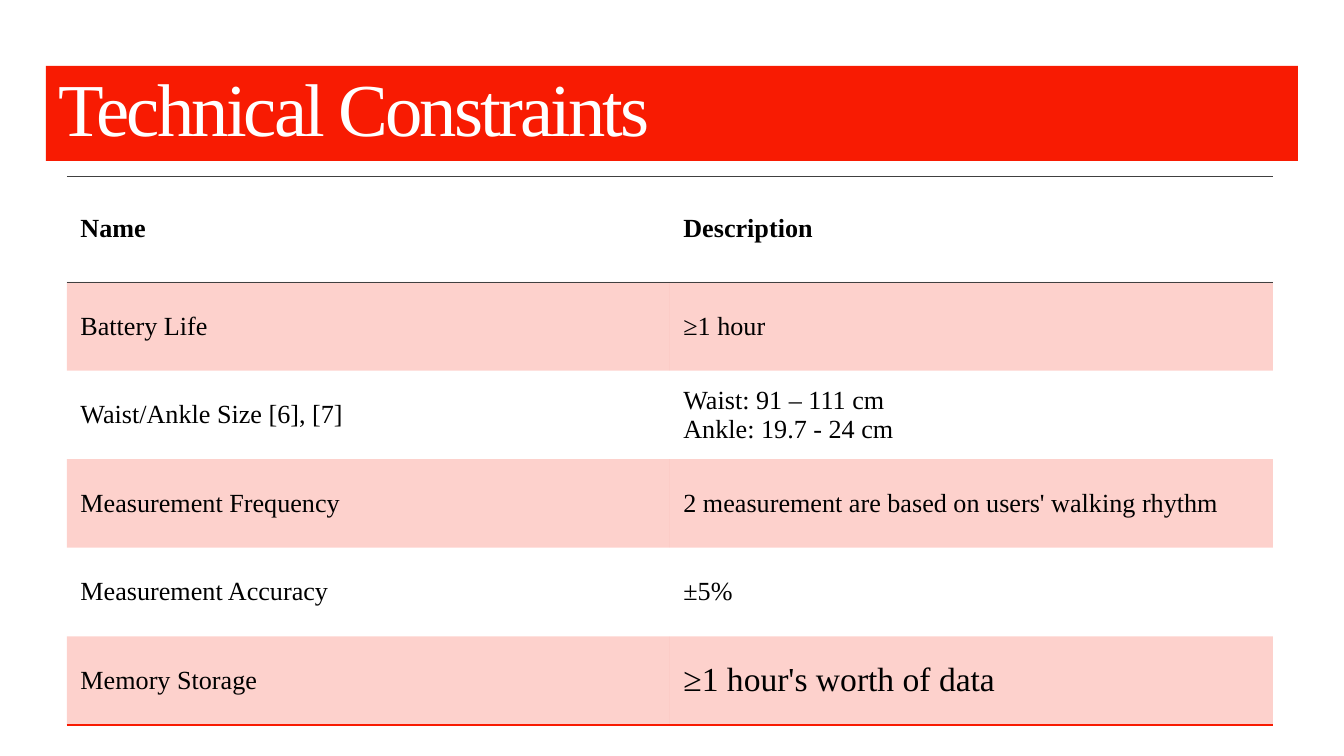
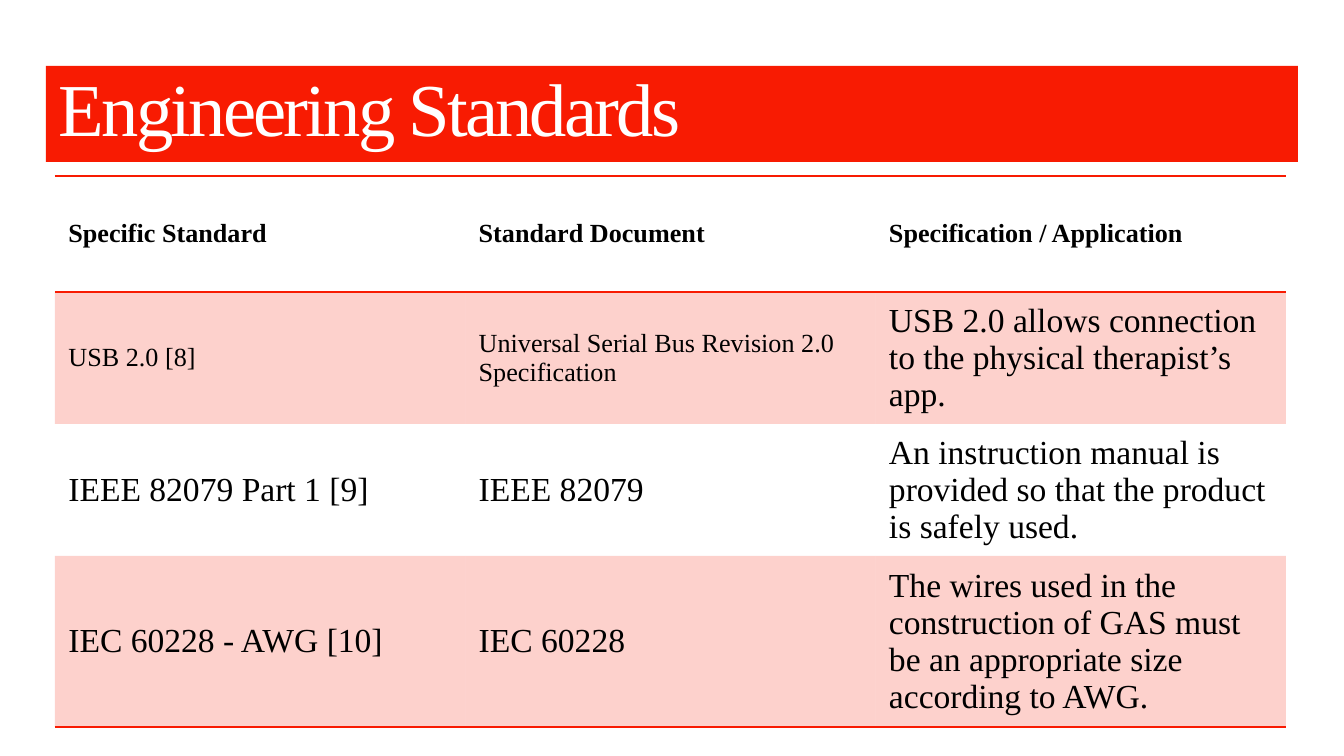
from lxml import etree
from pptx import Presentation
from pptx.dml.color import RGBColor
from pptx.enum.shapes import MSO_SHAPE
from pptx.enum.text import MSO_ANCHOR, PP_ALIGN
from pptx.oxml.ns import qn
from pptx.util import Pt

RECTANGLE = MSO_SHAPE.RECTANGLE
MIDDLE = MSO_ANCHOR.MIDDLE
LEFT = PP_ALIGN.LEFT

EMU_PER_PX = 914400 / 134.4
FONT = "Times New Roman"
RED, WHITE, BLACK, GREY = "F81B02", "FFFFFF", "000000", "404040"
BAND_OPACITY = 20
BODY_SIZE, LARGE_SIZE, TITLE_SIZE = 14, 18, 40
RED_RULE = (RED, 1)
GREY_RULE = (GREY, 0.5)

CONSTRAINTS = [
    ["Name", "Description"],
    ["Battery Life", "≥1 hour"],
    ["Waist/Ankle Size [6], [7]", "Waist: 91 – 111 cm\nAnkle: 19.7 - 24 cm"],
    ["Measurement Frequency", "2 measurement are based on users' walking rhythm"],
    ["Measurement Accuracy", "±5%"],
    ["Memory Storage", "≥1 hour's worth of data"],
]
LARGE_CONSTRAINTS = {(5, 1)}

STANDARDS = [
    ["Specific Standard", "Standard Document", "Specification / Application"],
    ["USB 2.0 [8]", "Universal Serial Bus Revision 2.0 Specification",
     "USB 2.0 allows connection to the physical therapist’s app."],
    ["IEEE 82079 Part 1 [9]", "IEEE 82079",
     "An instruction manual is provided so that the product is safely used."],
    ["IEC 60228 - AWG [10]", "IEC 60228",
     "The wires used in the construction of GAS must be an appropriate size according to AWG."],
]
LARGE_STANDARDS = {(1, 2)} | {(row, col) for row in (2, 3) for col in range(3)}


def px(length):
    """Turn pixels into EMU."""
    return round(length * EMU_PER_PX)


def color(code):
    """Turn a hex string into a colour."""
    return RGBColor.from_string(code)


def style_text(paragraph, size, code, bold=False):
    """Format every run of a paragraph."""
    paragraph.alignment = LEFT
    for run in paragraph.runs:
        run.font.name = FONT
        run.font.size = Pt(size)
        run.font.bold = bold
        run.font.color.rgb = color(code)


def add_title(slide, title, height):
    """Add the red title band."""
    band = slide.shapes.add_shape(RECTANGLE, px(46), px(66), px(1252), px(height))
    band.shadow.inherit = False
    band.fill.solid()
    band.fill.fore_color.rgb = color(RED)
    band.line.fill.background()
    frame = band.text_frame
    frame.word_wrap = True
    frame.vertical_anchor = MIDDLE
    frame.margin_left = frame.margin_right = px(13)
    frame.margin_top = frame.margin_bottom = px(13)
    frame.text = title
    heading = frame.paragraphs[0]
    heading.line_spacing = 0.85
    style_text(heading, TITLE_SIZE, WHITE)
    for run in heading.runs:
        run.font._element.set("spc", "-150")


def set_border(cell, edge, rule):
    """Draw one cell edge, or clear it when there is no rule."""
    border = etree.SubElement(cell._tc.get_or_add_tcPr(), qn(f"a:{edge}"))
    if rule is None:
        etree.SubElement(border, qn("a:noFill"))
        return
    code, width = rule
    border.set("w", str(Pt(width)))
    fill = etree.SubElement(border, qn("a:solidFill"))
    etree.SubElement(fill, qn("a:srgbClr")).set("val", code)


def fill_cell(cell, banded):
    """Tint a banded cell and leave the others clear."""
    if not banded:
        cell.fill.background()
        return
    cell.fill.solid()
    cell.fill.fore_color.rgb = color(RED)
    tint = cell._tc.tcPr.find(qn("a:solidFill"))[0]
    etree.SubElement(tint, qn("a:alpha")).set("val", str(BAND_OPACITY * 1000))


def add_ruled_table(slide, rows, left, width, heights, large_cells, header_rule):
    """Add a table with a ruled header, tinted odd rows and a closing rule."""
    last = len(rows) - 1
    columns = len(rows[0])
    table = slide.shapes.add_table(
        len(rows), columns, px(left), px(176), px(width), px(sum(heights))).table
    table.first_row = table.horz_banding = False
    for column in table.columns:
        column.width = px(width / columns)
    for r, texts in enumerate(rows):
        table.rows[r].height = px(heights[r])
        top = header_rule if r <= 1 else None
        bottom = {0: header_rule, last: RED_RULE}.get(r)
        for c, text in enumerate(texts):
            cell = table.cell(r, c)
            for edge, rule in zip(("lnL", "lnR", "lnT", "lnB"), (None, None, top, bottom)):
                set_border(cell, edge, rule)
            fill_cell(cell, r % 2 == 1)
            cell.vertical_anchor = MIDDLE
            cell.text_frame.text = text
            size = LARGE_SIZE if (r, c) in large_cells else BODY_SIZE
            for paragraph in cell.text_frame.paragraphs:
                style_text(paragraph, size, BLACK, bold=r == 0)


def main():
    """Build both slides and save them."""
    deck = Presentation()
    deck.slide_width, deck.slide_height = px(1344), px(756)
    blank = deck.slide_layouts[6]

    constraints = deck.slides.add_slide(blank)
    add_title(constraints, "Technical Constraints", 95)
    add_ruled_table(constraints, CONSTRAINTS, 67, 1206, [106] + [443 / 5] * 5,
                    LARGE_CONSTRAINTS, GREY_RULE)

    standards = deck.slides.add_slide(blank)
    add_title(standards, "Engineering Standards", 96)
    add_ruled_table(standards, STANDARDS, 55, 1231, [116, 132, 132, 171],
                    LARGE_STANDARDS, RED_RULE)

    deck.save("out.pptx")


if __name__ == "__main__":
    main()
